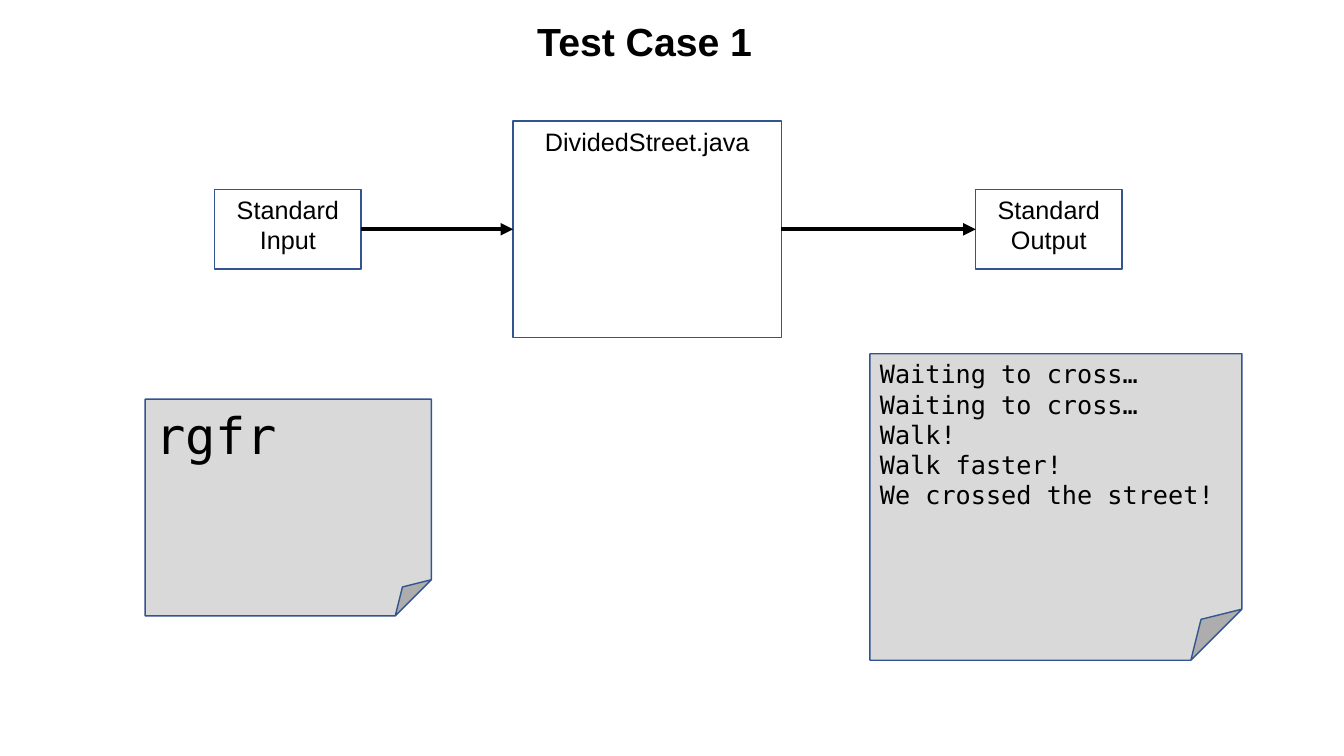
from dataclasses import dataclass

from lxml import etree
from pptx import Presentation
from pptx import util as u
from pptx.dml.color import RGBColor
from pptx.enum import shapes, text
from pptx.oxml import ns


@dataclass(frozen=True)
class Theme:
    ink: RGBColor = RGBColor(0x00, 0x00, 0x00)
    edge: RGBColor = RGBColor(0x32, 0x54, 0x91)
    paper: RGBColor = RGBColor(0xD9, 0xD9, 0xD9)
    sans: str = "Arial"
    mono: str = "DejaVu Sans Mono"
    head: int = 28
    big: int = 36
    body: int = 18


THEME = Theme()
WIDE, HIGH = u.Inches(13.33), u.Inches(7.5)
MID = 30.33  # height of the flow's centre line, in percent


def place(left, top, width, height):
    """Turn percent shares of the slide into lengths."""
    return [int(share * full / 100) for share, full in
            zip((left, top, width, height), (WIDE, HIGH, WIDE, HIGH))]


def write(shape, words, font, size, align, bold=False):
    frame = shape.text_frame
    frame.text = words
    frame.word_wrap = True
    frame.auto_size = text.MSO_AUTO_SIZE.NONE
    frame.vertical_anchor = text.MSO_ANCHOR.TOP
    for para in frame.paragraphs:
        para.alignment = align
        for run in para.runs:
            run.font.name = font
            run.font.size = u.Pt(size)
            run.font.bold = bold
            run.font.color.rgb = THEME.ink


def add_title(slide, words):
    title = slide.shapes.title
    title.left, title.top, title.width, title.height = place(21.6, 1.6, 52.73, 7.6)
    write(title, words, THEME.sans, THEME.head, text.PP_ALIGN.CENTER, bold=True)


def add_frame(slide, kind, area):
    shape = slide.shapes.add_shape(kind, *place(*area))
    shape.shadow.inherit = False
    shape.line.color.rgb = THEME.edge
    shape.line.width = u.Pt(1)
    return shape


def add_box(slide, words, left, width, height):
    """Outlined step, centred on the flow line."""
    area = (left, MID - height / 2, width, height)
    box = add_frame(slide, shapes.MSO_SHAPE.RECTANGLE, area)
    box.fill.background()
    write(box, words, THEME.sans, THEME.body, text.PP_ALIGN.CENTER)
    return box


def add_note(slide, lines, size, area):
    """Sheet with a folded corner and console text."""
    note = add_frame(slide, shapes.MSO_SHAPE.FOLDED_CORNER, area)
    note.fill.solid()
    note.fill.fore_color.rgb = THEME.paper
    write(note, "\n".join(lines), THEME.mono, size, text.PP_ALIGN.LEFT)


def add_arrow(slide, start, end):
    arrow = slide.shapes.add_connector(shapes.MSO_CONNECTOR.STRAIGHT, 0, 0, 0, 0)
    arrow.begin_connect(start, 3)
    arrow.end_connect(end, 1)
    arrow.line.color.rgb = THEME.ink
    arrow.line.width = u.Pt(3)
    # Arrowhead, and no shadow
    etree.SubElement(arrow.line._get_or_add_ln(), ns.qn("a:tailEnd"), type="triangle")
    etree.SubElement(arrow._element.spPr, ns.qn("a:effectLst"))


def main():
    deck = Presentation()
    deck.slide_width, deck.slide_height = WIDE, HIGH
    slide = deck.slides.add_slide(deck.slide_layouts[5])
    add_title(slide, "Test Case 1")

    # Flow from input through the program to output
    code = add_box(slide, "DividedStreet.java", 38.18, 19.95, 28.67)
    sink = add_box(slide, "Standard Output", 72.6, 10.88, 10.53)
    feed = add_box(slide, "Standard Input", 15.98, 10.88, 10.53)

    # Sample input and the output it gives
    add_note(slide, ["rgfr"], THEME.big, (10.8, 52.8, 21.3, 28.67))
    add_note(slide, ["Waiting to cross…", "Waiting to cross…", "Walk!",
                     "Walk faster!", "We crossed the street!"],
             THEME.body, (64.73, 46.8, 27.68, 40.53))

    # Arrows
    add_arrow(slide, feed, code)
    add_arrow(slide, code, sink)

    deck.save("out.pptx")


if __name__ == "__main__":
    main()
